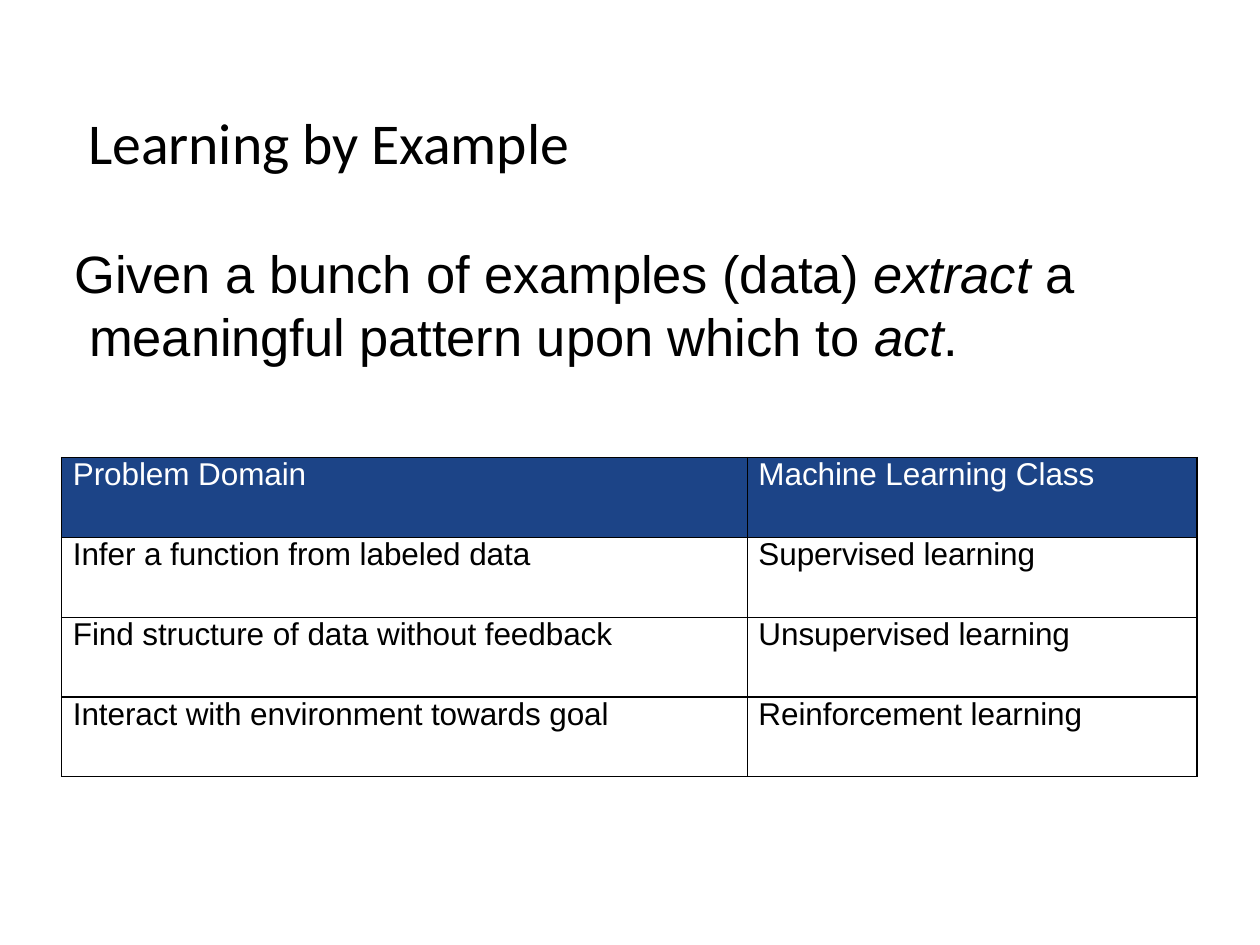
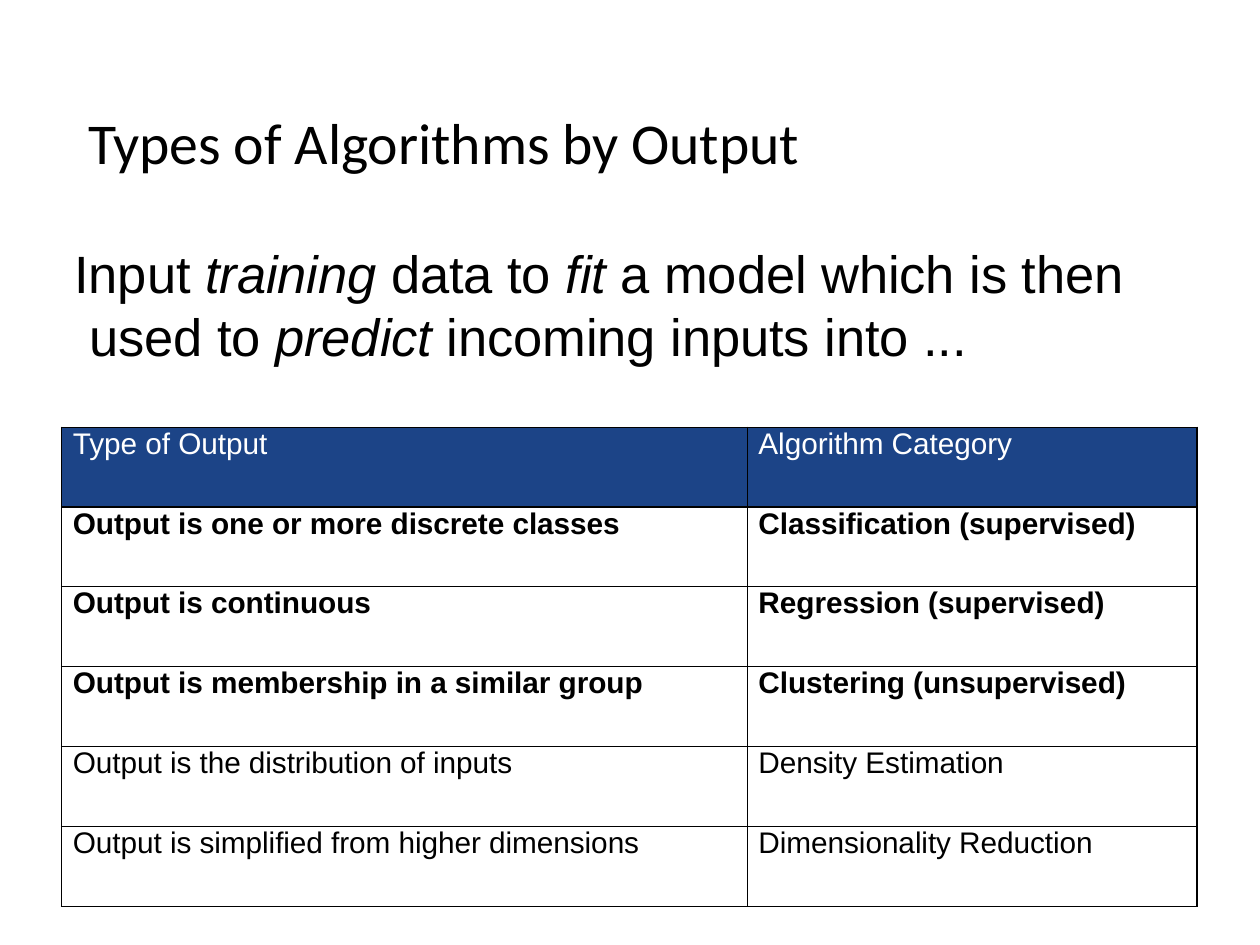
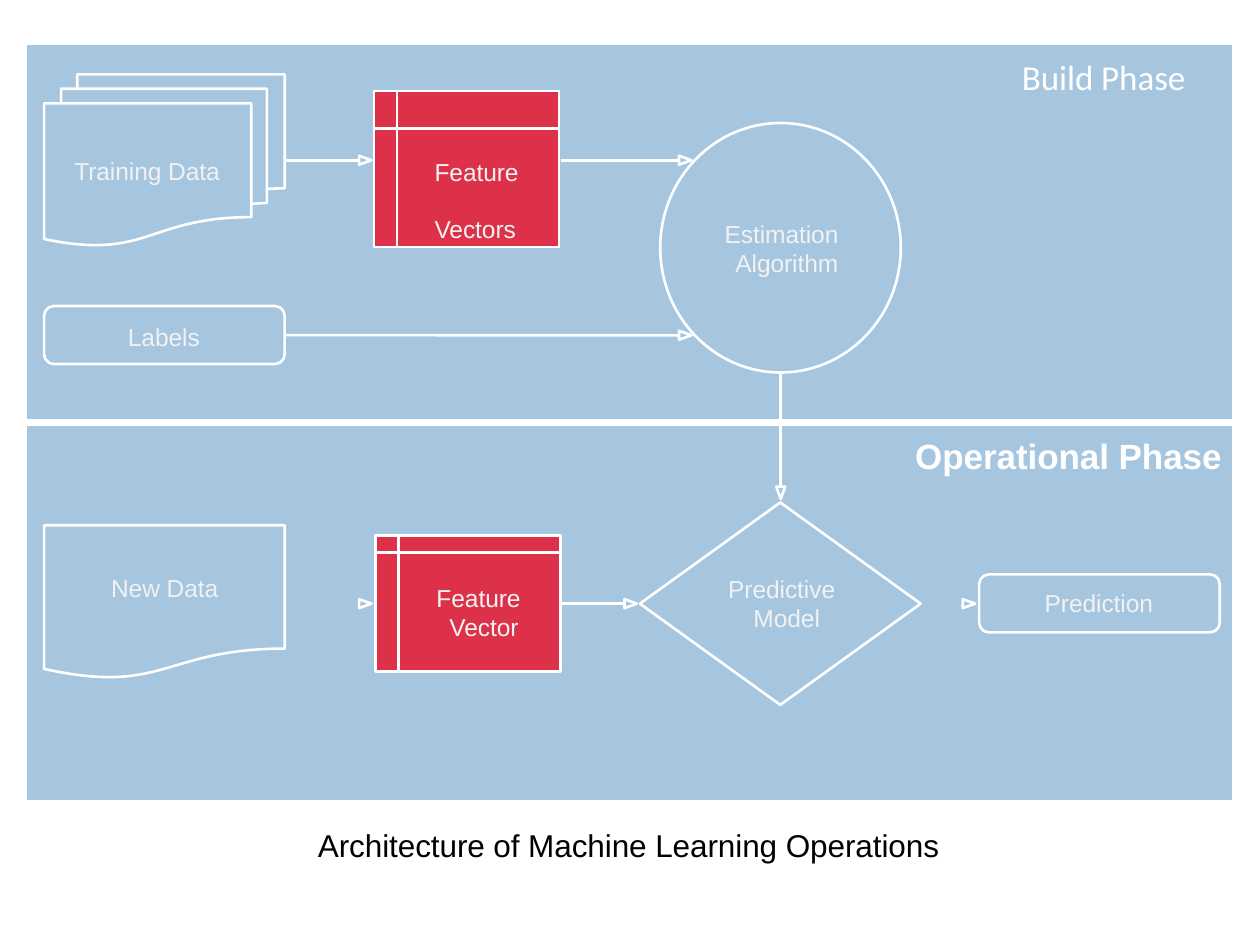
"""Build three slides on machine learning: two tables and an architecture diagram."""
from dataclasses import dataclass
from typing import Any, NamedTuple, Optional

import pptx
import pptx.dml.color
import pptx.enum.shapes
import pptx.enum.text
import pptx.oxml.ns
import pptx.util
from lxml import etree

Cm = pptx.util.Cm
Pt = pptx.util.Pt
RGBColor = pptx.dml.color.RGBColor
SHAPE = pptx.enum.shapes.MSO_SHAPE
ALIGN = pptx.enum.text.PP_ALIGN
ANCHOR = pptx.enum.text.MSO_ANCHOR
qn = pptx.oxml.ns.qn

BLACK = RGBColor(0x00, 0x00, 0x00)
WHITE = RGBColor(0xFF, 0xFF, 0xFF)
PALE = RGBColor(0xF2, 0xF2, 0xF2)
NAVY = RGBColor(0x1C, 0x44, 0x87)
BLUE = RGBColor(0x3A, 0x80, 0xBA)
RED = RGBColor(0xDD, 0x31, 0x49)

LINE_WIDTH = 1.5
HEAD_LENGTH = 0.25
HEAD_HALF = 0.09
LABEL_PITCH = 16.5


class Box(NamedTuple):
    """Left, top, width and height in centimetres."""
    left: float
    top: float
    width: float
    height: float

    def lengths(self) -> list:
        """Return the four sides as lengths."""
        return [Cm(v) for v in self]


class Run(NamedTuple):
    """A piece of text, upright or italic."""
    text: str
    italic: bool = False


@dataclass(frozen=True)
class Style:
    """Look of one paragraph; indents in centimetres, pitch in points."""
    size: float
    color: RGBColor = BLACK
    font: str = "Arial"
    bold: bool = False
    margin: float = 0.03
    indent: float = 0
    pitch: Optional[float] = None
    align: Any = ALIGN.LEFT


@dataclass(frozen=True)
class TableSlide:
    """Content of a slide with a title, a lead sentence and a table."""
    title: str
    lead: list[Run]
    lead_width: float
    table_top: float
    size: float
    rows: list[tuple[str, str]]
    bold_rows: tuple[int, ...] = ()


@dataclass(frozen=True)
class Node:
    """An outlined shape of the diagram."""
    kind: Any
    box: Box
    fill: Optional[RGBColor] = None


@dataclass(frozen=True)
class Label:
    """A text of the diagram."""
    text: str
    box: Box
    style: Style
    anchor: Any = ANCHOR.TOP


@dataclass(frozen=True)
class Arrow:
    """A shaft from start to the base of a head that ends at tip."""
    tip: tuple[float, float]
    start: Optional[tuple[float, float]] = None
    down: bool = False
    source: Optional[str] = None


TITLE = Style(33, font="Calibri")
TITLE_BOX = Box(1.75, 1.02, 21.9, 3.68)
LEAD = Style(30, margin=0.33, indent=-0.3)
COLUMNS = (13.82, 9.07)
ROW_HEIGHT = 1.61
TABLE_LEFT = 1.24

TABLE_SLIDES = [
    TableSlide(
        "Learning by Example",
        [Run("Given a bunch of examples (data) "), Run("extract ", True),
         Run("a meaningful pattern upon which to "), Run("act", True), Run(".")],
        20.32, 9.22, 18,
        [("Problem Domain", "Machine Learning Class"),
         ("Infer a function from labeled data", "Supervised learning"),
         ("Find structure of data without feedback", "Unsupervised learning"),
         ("Interact with environment towards goal", "Reinforcement learning")]),
    TableSlide(
        "Types of Algorithms by Output",
        [Run("Input "), Run("training ", True), Run("data to "), Run("fit ", True),
         Run("a model which is then used to "), Run("predict ", True),
         Run("incoming inputs into ...")],
        21.31, 8.61, 17,
        [("Type of Output", "Algorithm Category"),
         ("Output is one or more discrete classes", "Classification (supervised)"),
         ("Output is continuous", "Regression (supervised)"),
         ("Output is membership in a similar group", "Clustering (unsupervised)"),
         ("Output is the distribution of inputs", "Density Estimation"),
         ("Output is simplified from higher dimensions", "Dimensionality Reduction")],
        bold_rows=(1, 2, 3)),
]

PANELS = [Box(0.51, top, 24.36, 7.59) for top in (0.89, 8.56)]
NODES = {
    "training data": Node(SHAPE.FLOWCHART_MULTIDOCUMENT, Box(0.89, 1.5, 4.85, 3.45)),
    "labels": Node(SHAPE.ROUNDED_RECTANGLE, Box(0.89, 6.17, 4.85, 1.17)),
    "estimation": Node(SHAPE.OVAL, Box(13.31, 2.48, 4.85, 5.03)),
    "new data": Node(SHAPE.FLOWCHART_DOCUMENT, Box(0.89, 10.59, 4.85, 3.1)),
    "feature vector": Node(SHAPE.FLOWCHART_INTERNAL_STORAGE,
                           Box(7.57, 10.8, 3.73, 2.74), RED),
    "model": Node(SHAPE.DIAMOND, Box(12.9, 10.13, 5.66, 4.08)),
    "prediction": Node(SHAPE.ROUNDED_RECTANGLE, Box(19.74, 11.58, 4.85, 1.17)),
}
VECTORS_BOX = Box(7.54, 1.83, 3.73, 3.15)
VECTORS_COLUMNS = (0.46, 3.27)
VECTORS_ROWS = (0.76, 2.39)
VECTORS = Style(14, PALE, margin=0.76, pitch=2 * LABEL_PITCH)

NODE_TEXT = Style(14, PALE)
LABELS = [
    Label("Operational Phase", Box(18.42, 8.76, 6.35, 0.86), Style(20, WHITE, bold=True)),
    Label("Build Phase", Box(20.57, 1.12, 4.11, 0.86),
          Style(20, WHITE, "Calibri"), ANCHOR.MIDDLE),
    Label("Architecture of Machine Learning Operations",
          Box(6.38, 16.66, 12.8, 0.79), Style(18)),
    Label("Training Data", Box(1.47, 3.15, 3.2, 0.63), NODE_TEXT),
    Label("Labels", Box(2.55, 6.5, 1.7, 0.63), NODE_TEXT),
    Label("Estimation Algorithm", Box(14.2, 4.43, 2.7, 1.17),
          Style(14, PALE, pitch=LABEL_PITCH, align=ALIGN.RIGHT)),
    Label("New Data", Box(2.21, 11.56, 2.4, 0.63), NODE_TEXT),
    Label("Feature Vector", Box(8.76, 11.76, 1.9, 1.17),
          Style(14, PALE, margin=0.3, indent=-0.26, pitch=LABEL_PITCH)),
    Label("Predictive Model", Box(14.63, 11.58, 2.4, 1.17),
          Style(14, PALE, margin=0.56, indent=-0.51, pitch=LABEL_PITCH)),
    Label("Prediction", Box(21.03, 11.86, 2.4, 0.63), NODE_TEXT),
]

BUILD_Y = 3.23
LABELS_Y = 6.76
OPERATION_Y = 12.17
MODEL_X = 15.74
ARROWS = [
    Arrow((7.49, BUILD_Y), (5.74, BUILD_Y)),
    Arrow((13.94, LABELS_Y), (5.74, LABELS_Y), source="labels"),
    Arrow((13.94, BUILD_Y), (11.3, BUILD_Y)),
    Arrow((7.49, OPERATION_Y)),
    Arrow((12.84, OPERATION_Y), (11.3, OPERATION_Y), source="feature vector"),
    Arrow((MODEL_X, 10.06), (MODEL_X, 7.52), down=True),
    Arrow((19.66, OPERATION_Y)),
]


def write(tf: Any, runs: list[Run], style: Style) -> None:
    """Write one paragraph of runs into a text frame."""
    p = tf.paragraphs[0]
    p.alignment = style.align
    if style.pitch:
        p.line_spacing = Pt(style.pitch)
    pPr = p._p.get_or_add_pPr()
    pPr.set("marL", str(Cm(style.margin)))
    pPr.set("indent", str(Cm(style.indent)))
    for run in runs:
        r = p.add_run()
        r.text = run.text
        r.font.name = style.font
        r.font.size = Pt(style.size)
        r.font.bold = style.bold
        r.font.italic = run.italic
        r.font.color.rgb = style.color
        r._r.get_or_add_rPr().set("spc", "-5")


def add_text(s: Any, box: Box, runs: list[Run], style: Style,
             anchor: Any = ANCHOR.TOP) -> None:
    """Add a text box without insets."""
    tf = s.shapes.add_textbox(*box.lengths()).text_frame
    tf.margin_left = tf.margin_right = tf.margin_top = tf.margin_bottom = 0
    tf.word_wrap = True
    tf.vertical_anchor = anchor
    write(tf, runs, style)


def add_border(cell: Any, color: RGBColor, width: float) -> None:
    """Draw all four sides of a cell."""
    tcPr = cell._tc.get_or_add_tcPr()
    for side in ("lnL", "lnR", "lnT", "lnB"):
        ln = etree.SubElement(tcPr, qn(f"a:{side}"), w=str(Pt(width)))
        fill = etree.SubElement(ln, qn("a:solidFill"))
        etree.SubElement(fill, qn("a:srgbClr"), val=str(color))


def add_grid(s: Any, box: Box, columns: tuple, rows: tuple,
             color: RGBColor, width: float) -> Any:
    """Add a plain bordered table without cell margins."""
    frame = s.shapes.add_table(len(rows), len(columns), *box.lengths())
    table = frame.table
    table.first_row = table.horz_banding = False
    for column, size in zip(table.columns, columns):
        column.width = Cm(size)
    for row, size in zip(table.rows, rows):
        row.height = Cm(size)
    for cell in table.iter_cells():
        cell.margin_left = cell.margin_right = cell.margin_top = cell.margin_bottom = 0
        add_border(cell, color, width)
        cell.fill.background()
    return table


def paint(sp: Any, fill: Optional[RGBColor] = None) -> None:
    """Give a shape a white outline and an optional fill."""
    sp.shadow.inherit = False
    sp.line.color.rgb = WHITE
    sp.line.width = Pt(LINE_WIDTH)
    if fill is None:
        sp.fill.background()
    else:
        sp.fill.solid()
        sp.fill.fore_color.rgb = fill


def add_panel(s: Any, box: Box) -> None:
    """Add a translucent phase panel."""
    sp = s.shapes.add_shape(SHAPE.RECTANGLE, *box.lengths())
    paint(sp, BLUE)
    color = sp._element.spPr.find(qn("a:solidFill"))[0]
    etree.SubElement(color, qn("a:alpha"), val="45000")


def add_node(s: Any, node: Node) -> Any:
    """Add a diagram shape."""
    sp = s.shapes.add_shape(node.kind, *node.box.lengths())
    paint(sp, node.fill)
    return sp


def add_arrow(s: Any, arrow: Arrow, nodes: dict[str, Any]) -> None:
    """Add a shaft, where there is one, and a hollow head."""
    x, y = arrow.tip
    if arrow.down:
        base = (x, y - HEAD_LENGTH)
        corners = [(x - HEAD_HALF, base[1]), (x + HEAD_HALF, base[1])]
    else:
        base = (x - HEAD_LENGTH, y)
        corners = [(base[0], y + HEAD_HALF), (base[0], y - HEAD_HALF)]
    if arrow.start:
        ends = [Cm(v) for v in (*arrow.start, *base)]
        line = s.shapes.add_connector(pptx.enum.shapes.MSO_CONNECTOR.STRAIGHT, *ends)
        if arrow.source:
            line.begin_connect(nodes[arrow.source], 3)
        line.line.color.rgb = WHITE
        line.line.width = Pt(LINE_WIDTH)
        etree.SubElement(line._element.spPr, qn("a:effectLst"))
    points = [(Cm(px), Cm(py)) for px, py in (arrow.tip, *corners)]
    builder = s.shapes.build_freeform(*points[0])
    builder.add_line_segments(points[1:], close=True)
    paint(builder.convert_to_shape())


def add_table_slide(s: Any, content: TableSlide) -> None:
    """Fill a slide with title, lead sentence and table."""
    add_text(s, TITLE_BOX, [Run(content.title)], TITLE, ANCHOR.MIDDLE)
    add_text(s, Box(1.47, 4.85, content.lead_width, 2.57), content.lead, LEAD)
    count = len(content.rows)
    box = Box(TABLE_LEFT, content.table_top, sum(COLUMNS), count * ROW_HEIGHT)
    table = add_grid(s, box, COLUMNS, (ROW_HEIGHT,) * count, BLACK, 0.75)
    for i, row in enumerate(content.rows):
        style = Style(content.size, BLACK if i else WHITE,
                      bold=i in content.bold_rows, margin=0.23)
        for j, text in enumerate(row):
            cell = table.cell(i, j)
            if i == 0:
                cell.fill.solid()
                cell.fill.fore_color.rgb = NAVY
            write(cell.text_frame, [Run(text)], style)


def add_architecture(s: Any) -> None:
    """Fill a slide with the two-phase diagram."""
    for box in PANELS:
        add_panel(s, box)
    nodes = {name: add_node(s, node) for name, node in NODES.items()}
    table = add_grid(s, VECTORS_BOX, VECTORS_COLUMNS, VECTORS_ROWS, WHITE, LINE_WIDTH)
    for cell in table.iter_cells():
        cell.fill.solid()
        cell.fill.fore_color.rgb = RED
    write(table.cell(1, 1).text_frame, [Run("Feature Vectors")], VECTORS)
    for label in LABELS:
        add_text(s, label.box, [Run(label.text)], label.style, label.anchor)
    for arrow in ARROWS:
        add_arrow(s, arrow, nodes)


def main() -> None:
    """Build and save the presentation."""
    prs = pptx.Presentation()
    prs.slide_width, prs.slide_height = Cm(25.4), Cm(19.05)
    blank = prs.slide_layouts[6]
    for content in TABLE_SLIDES:
        add_table_slide(prs.slides.add_slide(blank), content)
    add_architecture(prs.slides.add_slide(blank))
    prs.save("out.pptx")


if __name__ == "__main__":
    main()
